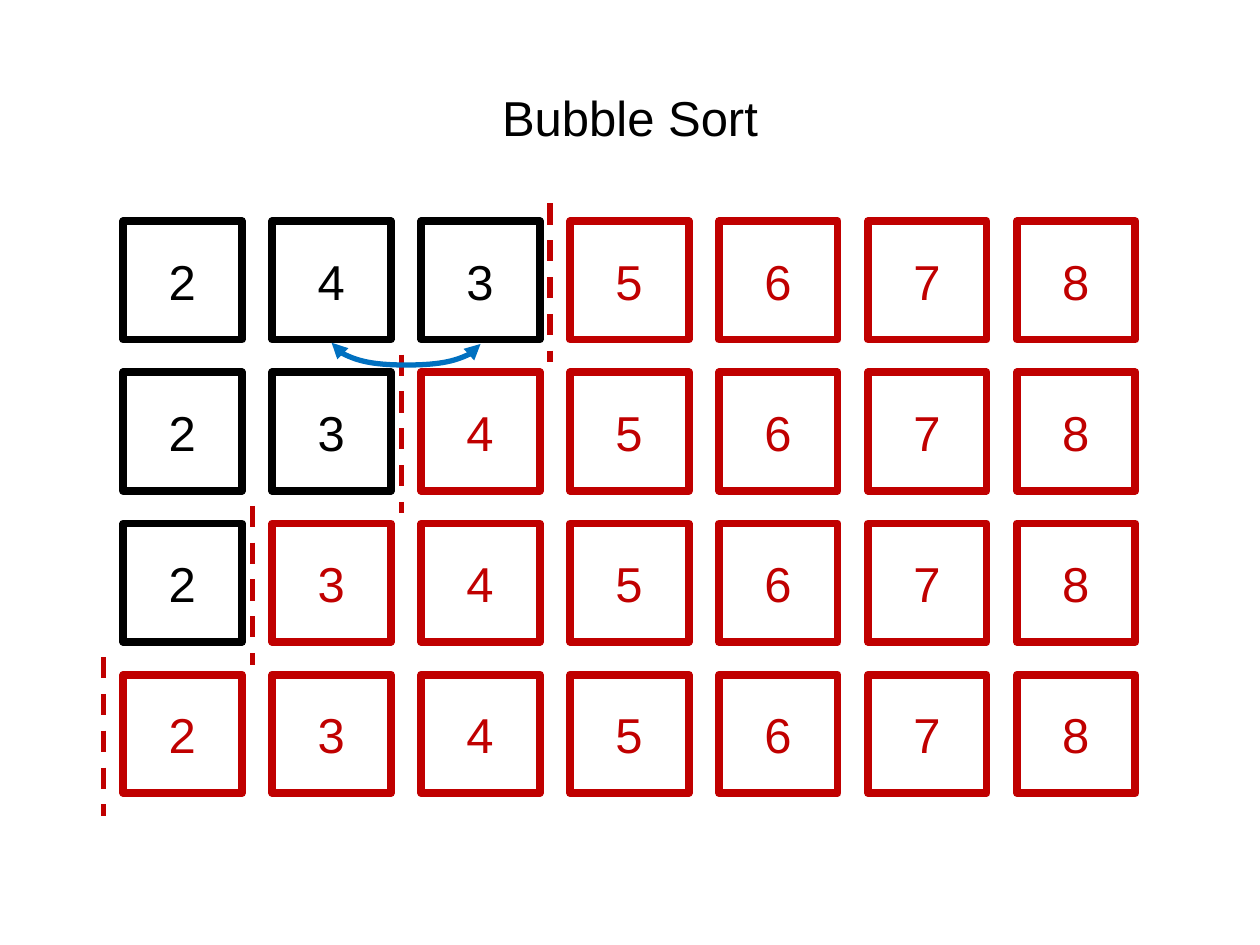
from dataclasses import dataclass

from lxml import etree
from pptx import Presentation
from pptx import util as u
from pptx.dml.color import RGBColor
from pptx.enum import dml, shapes, text
from pptx.oxml.ns import qn


@dataclass(frozen=True)
class Theme:
    font: str = "Arial"
    size: float = 28
    open_color: str = "000000"
    sorted_color: str = "C00000"
    swap_color: str = "0070C0"
    box_line: float = 4.5
    mark_line: float = 3


@dataclass(frozen=True)
class Grid:
    """Cells of equal size, in inches, at a fixed column and row pitch."""
    left: float = 0.98
    top: float = 1.755
    col: float = 1.182
    row: float = 1.2
    cell: float = 0.94

    def at(self, col, row):
        return self.left + col * self.col, self.top + row * self.row


T = Theme()
G = Grid()
# Values of each pass, and the column where the sorted part begins
PASSES = [("2435678", 3), ("2345678", 2), ("2345678", 1), ("2345678", 0)]


def inches(*values):
    return [u.Inches(v) for v in values]


def style_line(line, color, width):
    line.color.rgb = RGBColor.from_string(color)
    line.width = u.Pt(width)


def add_text(parent, box, content, color, align=None, anchor=None, wrap=True):
    tf = parent.add_textbox(*inches(*box)).text_frame
    tf.word_wrap = wrap
    if not wrap:
        tf.auto_size = text.MSO_AUTO_SIZE.SHAPE_TO_FIT_TEXT
    tf.vertical_anchor = anchor
    p = tf.paragraphs[0]
    p.alignment = align
    r = p.add_run()
    r.text = content
    r.font.name, r.font.size = T.font, u.Pt(T.size)
    r.font.color.rgb = RGBColor.from_string(color)


def add_line(s, kind, start, end, color):
    line = s.shapes.add_connector(kind, *inches(*start, *end))
    style_line(line.line, color, T.mark_line)
    etree.SubElement(line._element.spPr, qn("a:effectLst"))
    return line


def add_title(s, box):
    add_text(s.shapes, box, "Bubble Sort", T.open_color,
             text.PP_ALIGN.CENTER, text.MSO_ANCHOR.MIDDLE)


def add_pass(s, row, values, first_sorted):
    group = s.shapes.add_group_shape().shapes
    colors = [T.sorted_color if col >= first_sorted else T.open_color
              for col in range(len(values))]
    for col, color in enumerate(colors):
        sp = group.add_shape(shapes.MSO_SHAPE.RECTANGLE,
                             *inches(*G.at(col, row), G.cell, G.cell))
        sp.shadow.inherit = False
        sp.fill.background()
        style_line(sp.line, color, T.box_line)
    for col, (value, color) in enumerate(zip(values, colors)):
        x, y = G.at(col, row)
        add_text(group, (x + 0.26, y + 0.19, 0.42, 0.57), value, color, wrap=False)


def add_divider(s, row, first_sorted):
    x, y = G.at(first_sorted, row)
    x, y = x - 0.16, y - 0.14
    line = add_line(s, shapes.MSO_CONNECTOR.STRAIGHT, (x, y), (x, y + 1.26),
                    T.sorted_color)
    line.line.dash_style = dml.MSO_LINE.DASH


def add_swap(s, col, row, dip=0.18, depth=0.01):
    """Double-headed curve below a cell and its right neighbour.

    A curved connector is laid out upright, then turned by 270 degrees.
    """
    x, y = G.at(col, row)
    x, y = x + (G.cell + G.col) / 2, y + G.cell + 0.03
    curve = add_line(s, shapes.MSO_CONNECTOR.CURVE,
                     (x + depth / 2, y - G.col / 2),
                     (x - depth / 2, y + G.col / 2), T.swap_color)
    sp_pr = curve._element.spPr
    sp_pr.find(qn("a:xfrm")).set("rot", str(270 * 60000))
    guides = sp_pr.find(qn("a:prstGeom")).find(qn("a:avLst"))
    etree.SubElement(guides, qn("a:gd"), name="adj1",
                     fmla=f"val {round(dip / depth * 100000)}")
    for end in ("a:headEnd", "a:tailEnd"):
        etree.SubElement(sp_pr.find(qn("a:ln")), qn(end), type="triangle")


def main():
    prs = Presentation()
    prs.slide_width, prs.slide_height = inches(10, 7.5)
    s = prs.slides.add_slide(prs.slide_layouts[6])
    add_title(s, (0.5, 0.3, 9, 1.25))
    for row, (values, first_sorted) in enumerate(PASSES):
        add_pass(s, row, values, first_sorted)
        add_divider(s, row, first_sorted)
    add_swap(s, col=1, row=0)
    prs.save("out.pptx")


if __name__ == "__main__":
    main()
